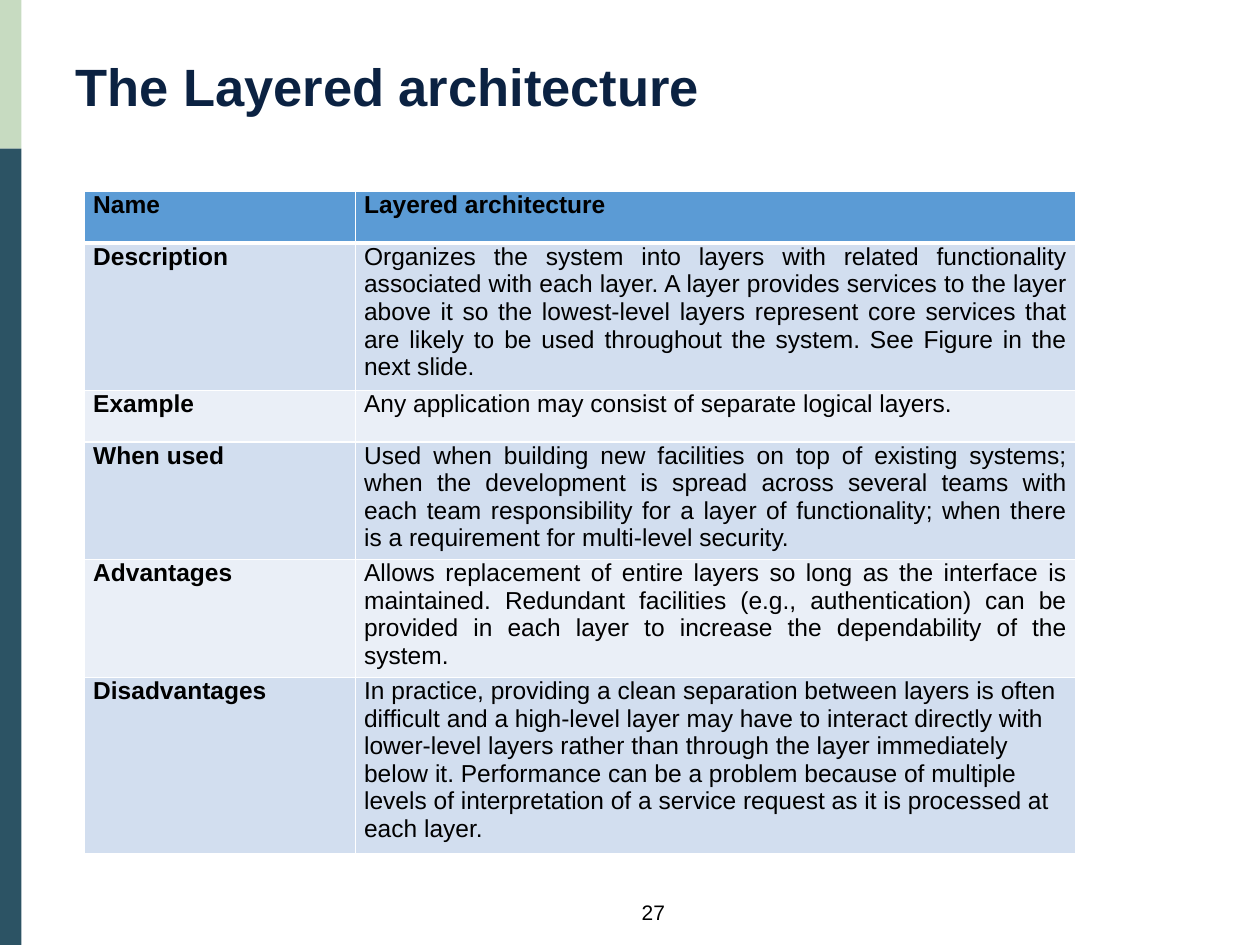
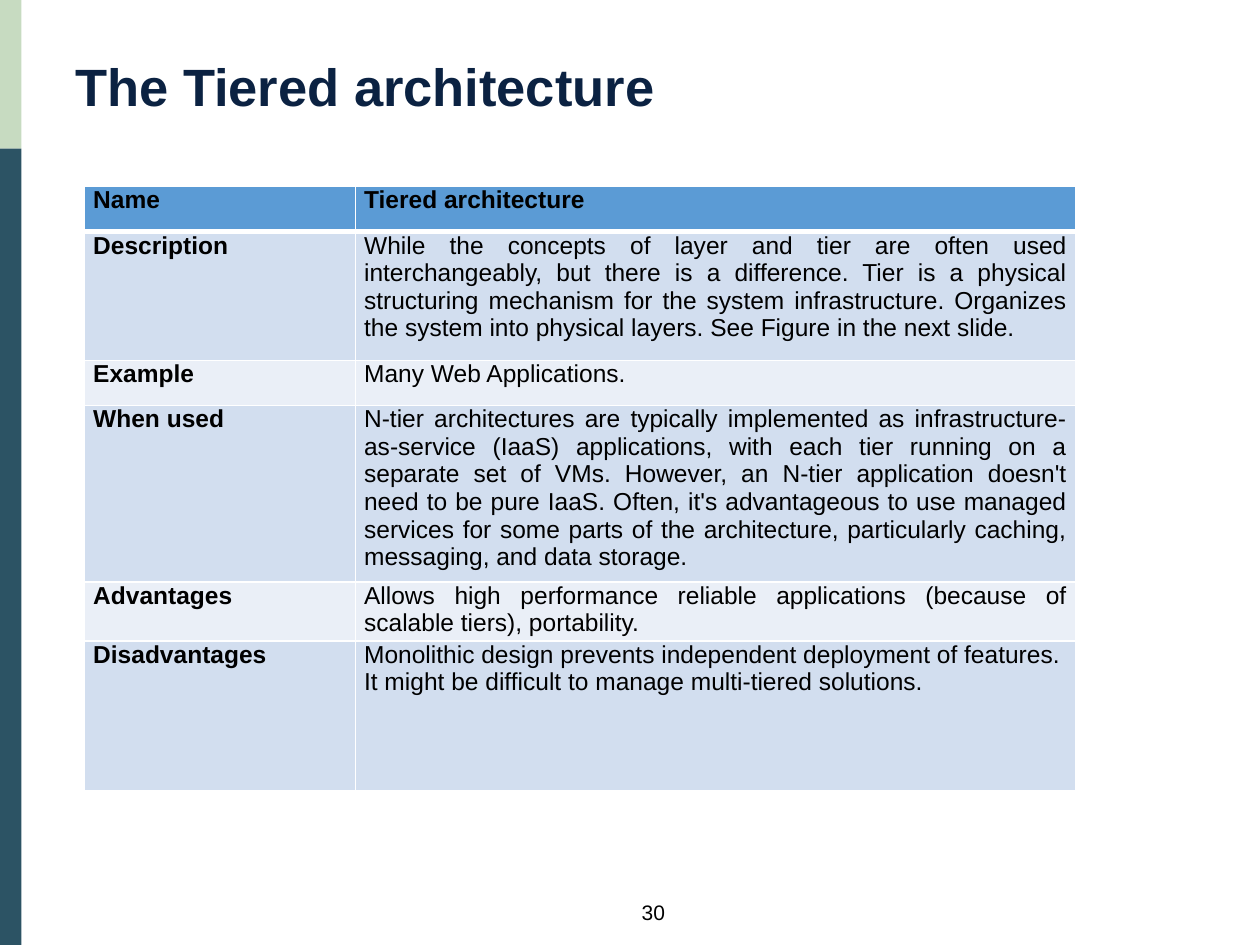
import pptx
import pptx.dml.color
import pptx.enum.shapes
import pptx.enum.text
import pptx.oxml
import pptx.oxml.ns
import pptx.util

Inches = pptx.util.Inches
Pt = pptx.util.Pt
ALIGN = pptx.enum.text.PP_ALIGN

COLORS = {
    "title": "0B2242",
    "text": "000000",
    "top_band": "C7DBC1",
    "side_band": "2C5364",
    "header": "5B9BD5",
    "odd_row": "D2DEEF",
    "even_row": "EAEFF7",
    "border": "FFFFFF",
}
FONT = "Arial"
ROW_NAMES = ["Name", "Description", "Example", "When used", "Advantages", "Disadvantages"]
COLUMN_WIDTHS = [2.15, 5.72]
BANDS = [("top_band", 0, 1.18), ("side_band", 1.18, 6.32)]

PATTERNS = [
    {
        "title": "The Layered architecture",
        "number": "27",
        "top": 1.52,
        "heights": [0.41, 1.09, 0.41, 0.87, 0.87, 1.31],
        "details": [
            "Layered architecture",
            "Organizes the system into layers with related functionality associated with each layer. "
            "A layer provides services to the layer above it so the lowest-level layers represent core "
            "services that are likely to be used throughout the system. See Figure in the next slide.",
            "Any application may consist of separate logical layers.",
            "Used when building new facilities on top of existing systems; when the development is "
            "spread across several teams with each team responsibility for a layer of functionality; "
            "when there is a requirement for multi-level security.",
            "Allows replacement of entire layers so long as the interface is maintained. Redundant "
            "facilities (e.g., authentication) can be provided in each layer to increase the "
            "dependability of the system.",
            "In practice, providing a clean separation between layers is often difficult and a "
            "high-level layer may have to interact directly with lower-level layers rather than through "
            "the layer immediately below it. Performance can be a problem because of multiple levels of "
            "interpretation of a service request as it is processed at each layer.",
        ],
    },
    {
        "title": "The Tiered architecture",
        "number": "30",
        "top": 1.48,
        "heights": [0.36, 1.02, 0.36, 1.31, 0.44, 1.19],
        "details": [
            "Tiered architecture",
            "While the concepts of layer and tier are often used interchangeably, but there is a "
            "difference. Tier is a physical structuring mechanism for the system infrastructure. "
            "Organizes the system into physical layers. See Figure in the next slide.",
            "Many Web Applications.",
            "N-tier architectures are typically implemented as infrastructure-as-service (IaaS) "
            "applications, with each tier running on a separate set of VMs. However, an N-tier "
            "application doesn't need to be pure IaaS. Often, it's advantageous to use managed services "
            "for some parts of the architecture, particularly caching, messaging, and data storage.",
            "Allows high performance reliable applications (because of scalable tiers), portability.",
            "Monolithic design prevents independent deployment of features. It might be difficult to "
            "manage multi-tiered solutions.",
        ],
    },
]


def write_text(frame, text, size=14, bold=False, color="text", align=ALIGN.LEFT, line_spacing=None):
    frame.word_wrap = True
    para = frame.paragraphs[0]
    para.alignment = align
    para.line_spacing = line_spacing
    span = para.add_run()
    span.text = text
    span.font.name = FONT
    span.font.size = Pt(size)
    span.font.bold = bold
    span.font.color.rgb = pptx.dml.color.RGBColor.from_string(COLORS[color])


def style_cell(cell, fill, bottom_width):
    cell.margin_left = cell.margin_right = Inches(0.07)
    cell.margin_top = cell.margin_bottom = 0
    properties = cell._tc.get_or_add_tcPr()
    for side, width in [("L", 1), ("R", 1), ("T", 1), ("B", bottom_width)]:
        properties.append(pptx.oxml.parse_xml(
            f'<a:ln{side} {pptx.oxml.ns.nsdecls("a")} w="{Pt(width)}"><a:solidFill>'
            f'<a:srgbClr val="{COLORS["border"]}"/></a:solidFill></a:ln{side}>'
        ))
    cell.fill.solid()
    cell.fill.fore_color.rgb = pptx.dml.color.RGBColor.from_string(COLORS[fill])


deck = pptx.Presentation()
deck.slide_width = Inches(10)
deck.slide_height = Inches(7.5)

for pattern in PATTERNS:
    page = deck.slides.add_slide(deck.slide_layouts[6])

    for color, top, height in BANDS:
        band = page.shapes.add_shape(
            pptx.enum.shapes.MSO_SHAPE.RECTANGLE, 0, Inches(top), Inches(0.17), Inches(height)
        )
        band.shadow.inherit = False
        band.fill.solid()
        band.fill.fore_color.rgb = pptx.dml.color.RGBColor.from_string(COLORS[color])
        band.line.fill.background()

    number_box = page.shapes.add_textbox(Inches(4.42), Inches(7.09), Inches(1.53), Inches(0.3))
    write_text(number_box.text_frame, pattern["number"], size=12, align=ALIGN.CENTER)

    title_box = page.shapes.add_textbox(Inches(0.5), Inches(0.46), Inches(8.36), Inches(0.68))
    write_text(title_box.text_frame, pattern["title"], size=30, bold=True, color="title",
               line_spacing=Pt(30))

    table = page.shapes.add_table(
        len(ROW_NAMES), len(COLUMN_WIDTHS), Inches(0.67), Inches(pattern["top"]),
        Inches(sum(COLUMN_WIDTHS)), Inches(sum(pattern["heights"]))
    ).table
    for column, width in zip(table.columns, COLUMN_WIDTHS):
        column.width = Inches(width)

    last_row = len(ROW_NAMES) - 1
    for row, texts in enumerate(zip(ROW_NAMES, pattern["details"])):
        table.rows[row].height = Inches(pattern["heights"][row])
        fill = "header" if row == 0 else "odd_row" if row % 2 else "even_row"
        for column, text in enumerate(texts):
            cell = table.cell(row, column)
            style_cell(cell, fill, bottom_width=3 if row == 0 else 1)
            ragged = row == last_row and column == 1
            write_text(cell.text_frame, text, bold=row == 0 or column == 0,
                       align=ALIGN.LEFT if ragged else ALIGN.JUSTIFY)

deck.save("out.pptx")
